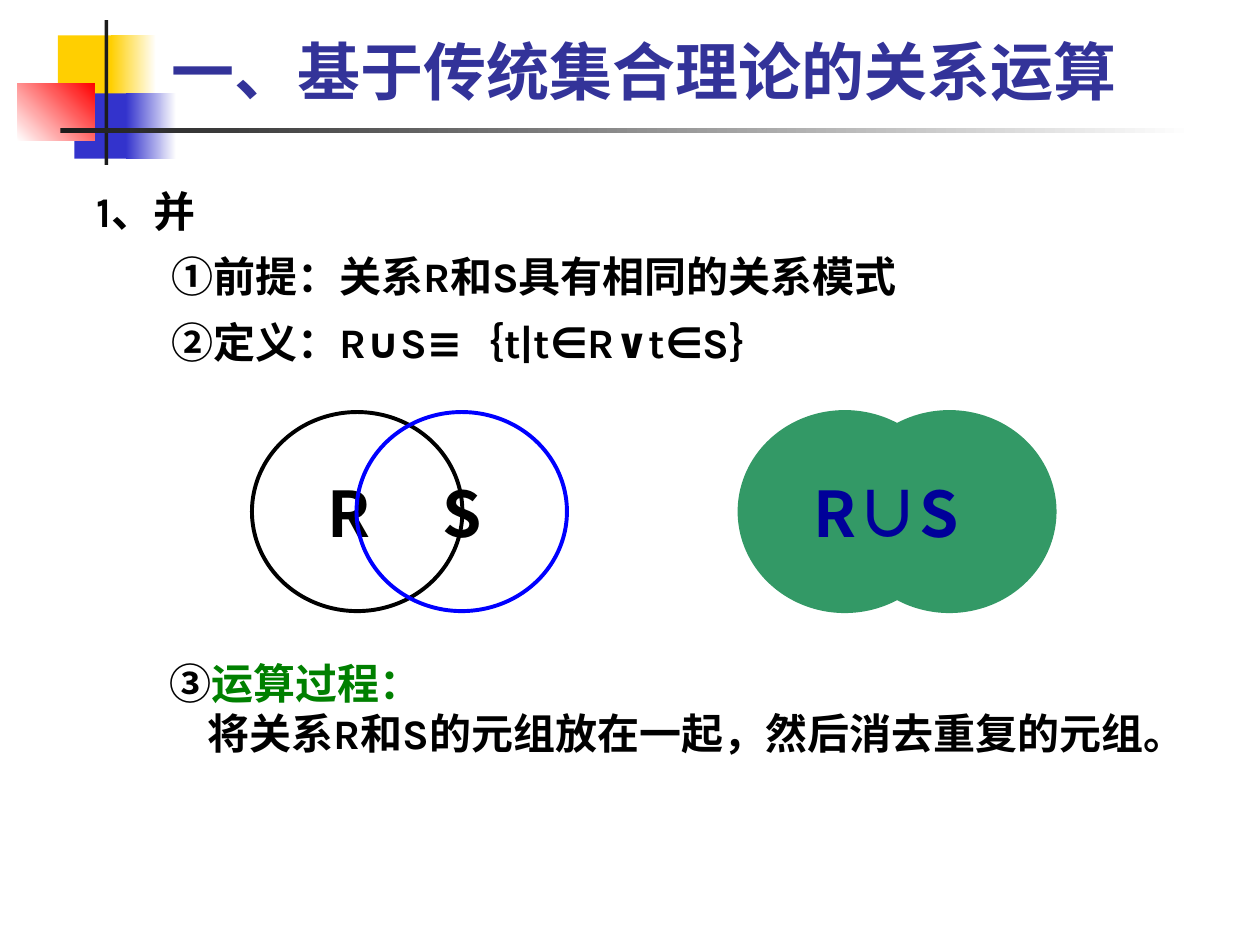
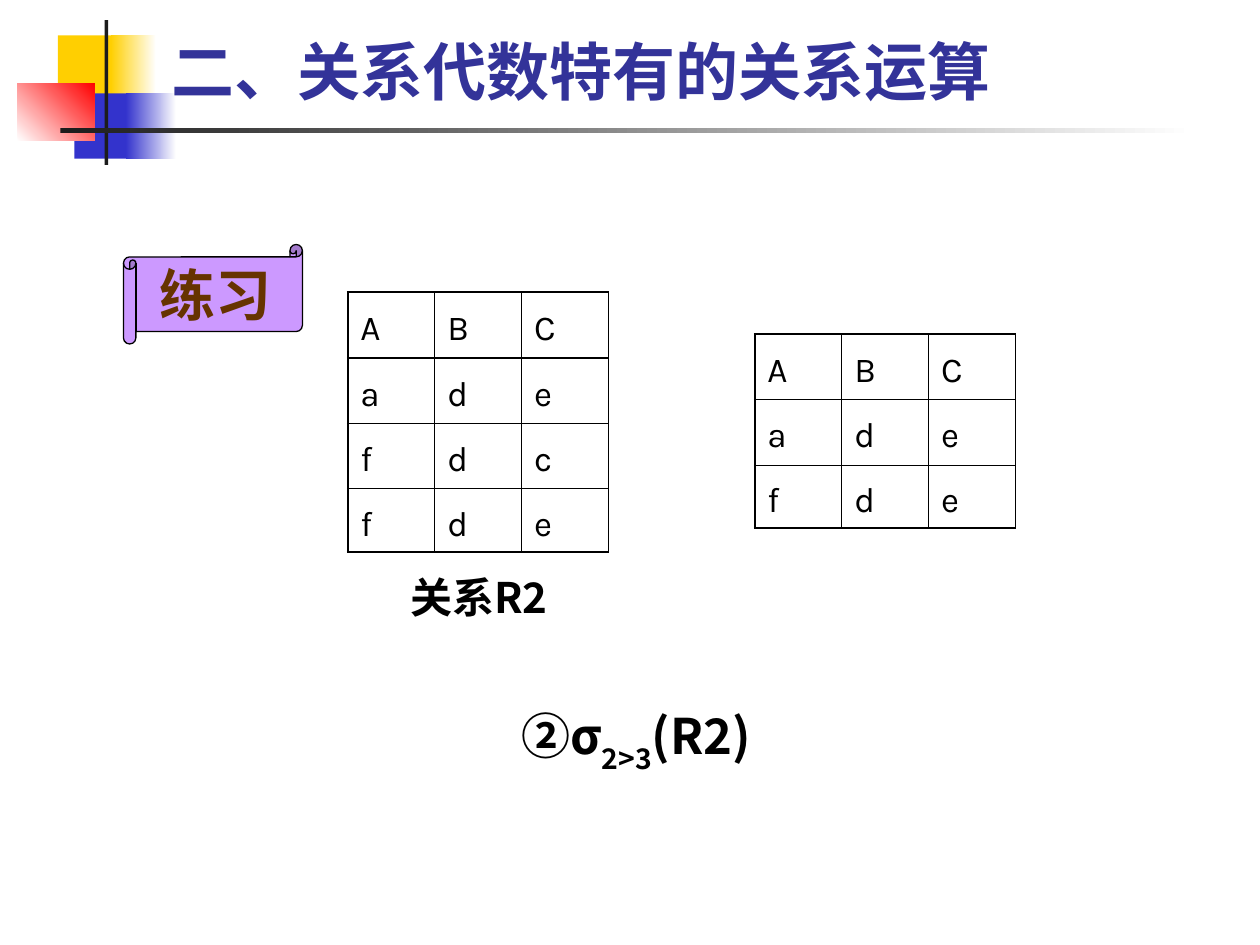
from lxml import etree
from pptx import Presentation
from pptx.dml.color import RGBColor
from pptx.enum.shapes import MSO_SHAPE
from pptx.enum.text import MSO_ANCHOR, PP_ALIGN
from pptx.oxml.ns import qn
from pptx.util import Inches, Pt

RECTANGLE, ELLIPSE = MSO_SHAPE.RECTANGLE, MSO_SHAPE.OVAL
SCROLL = MSO_SHAPE.HORIZONTAL_SCROLL
TOP, MIDDLE, BOTTOM = MSO_ANCHOR.TOP, MSO_ANCHOR.MIDDLE, MSO_ANCHOR.BOTTOM
LEFT, CENTER = PP_ALIGN.LEFT, PP_ALIGN.CENTER

LATIN, CHINESE, SCROLL_FONT = "Karla", "Noto Sans CJK SC", "Arial"
BLACK, WHITE, INK = "000000", "FFFFFF", "1C1C1C"
YELLOW, BLUE, RED = "FFCF01", "3333CC", "FF0000"
TITLE_COLOR, UNION_GREEN, UNION_TEXT = "333399", "339966", "000099"
PROCESS_GREEN, CIRCLE_BLUE = "008000", "0000FF"
LILAC, BROWN = "CC99FF", "663300"

# Box (left, top, width, height), then one fill colour or (start, end, angle)
TITLE_DECORATION = [
    ((0.46, 0.28, 0.48, 0.52), YELLOW),
    ((0.88, 0.28, 0.36, 0.52), (YELLOW, WHITE, 0)),
    ((0.59, 0.74, 0.46, 0.52), BLUE),
    ((1.0, 0.74, 0.4, 0.52), (BLUE, WHITE, 0)),
    ((0.14, 0.66, 0.61, 0.46), (WHITE, RED, 45)),
    ((0.83, 0.16, 0.03, 1.15), INK),
    ((0.48, 1.02, 9, 0.04), (INK, WHITE, 0)),
]
TITLE_BOX = (1.26, 0.23, 8.52, 0.68)

UNION_TITLE = "一、基于传统集合理论的关系运算"
UNION_HEADING = "1、并"
UNION_POINTS = ["①前提：关系R和S具有相同的关系模式",
                "②定义：R∪S≡｛t|t∈R∨t∈S｝"]
PROCESS_HEADING = [("③", {}), ("运算过程：", {"color": PROCESS_GREEN})]
PROCESS_TEXT = "将关系R和S的元组放在一起，然后消去重复的元组。"

CIRCLE_TOP, CIRCLE_WIDTH, CIRCLE_HEIGHT, CIRCLE_SHIFT = 3.27, 1.67, 1.58, 0.83
# Left edge of the pair, then (fill, line) of each circle
CIRCLE_PAIRS = [
    (2.0, [(None, BLACK), (None, CIRCLE_BLUE)]),
    (5.87, [(UNION_GREEN, UNION_GREEN)] * 2),
]
SET_LABELS = [("R", 2.77), ("S", 3.67)]
SET_LABEL_WIDTH = 0.8

EXERCISE_TITLE = "二、关系代数特有的关系运算"
RELATION_TABLES = [
    ((5.99, 2.65), ["ABC", "ade", "fde"]),
    ((2.76, 2.32), ["ABC", "ade", "fdc", "fde"]),
]
COLUMN_WIDTH, ROW_HEIGHT, LAST_ROW_HEIGHT = 0.69, 0.52, 0.5
THICK, THIN = 1.08, 0.45
SELECTION = [("②σ", {}), ("2>3", {"baseline": "-30000"}), ("(R2)", {})]


def rgb(color):
    return RGBColor.from_string(color)


def inches(box):
    return [Inches(length) for length in box]


def paint(shape, fill=None, line=None, line_width=1):
    """Fill with nothing, a colour or a (start, end, angle) gradient."""
    shape.shadow.inherit = False
    if fill is None:
        shape.fill.background()
    elif isinstance(fill, str):
        shape.fill.solid()
        shape.fill.fore_color.rgb = rgb(fill)
    else:
        shape.fill.gradient()
        shape.fill.gradient_angle = fill[2]
        for stop, color, position in zip(shape.fill.gradient_stops, fill, (0, 1)):
            stop.color.rgb = rgb(color)
            stop.position = position
    if line is None:
        shape.line.fill.background()
    else:
        shape.line.color.rgb = rgb(line)
        shape.line.width = Pt(line_width)


def add_shape(slide, kind, box, **style):
    shape = slide.shapes.add_shape(kind, *inches(box))
    paint(shape, **style)
    return shape


def write(paragraph, content, size, font=LATIN, color=BLACK, bold=True,
          align=LEFT, margin=0, indent=0, spacing=None, before=None):
    """Write a string, or a list of (text, run format) parts."""
    properties = paragraph._p.get_or_add_pPr()
    properties.set("marL", str(Inches(margin)))
    properties.set("indent", str(Inches(indent)))
    paragraph.alignment = align
    if spacing:
        paragraph.line_spacing = spacing
    if before:
        paragraph.space_before = Pt(before)
    paragraph.font.name = font
    paragraph.font.size = Pt(size)
    paragraph.font.bold = bold
    paragraph.font.color.rgb = rgb(color)
    default_format = properties.find(qn("a:defRPr"))
    east_asian = etree.Element(qn("a:ea"), typeface=CHINESE)
    default_format.find(qn("a:latin")).addnext(east_asian)
    for text, style in [(content, {})] if isinstance(content, str) else content:
        run = paragraph.add_run()
        run.text = text
        if "color" in style:
            run.font.color.rgb = rgb(style["color"])
        if "baseline" in style:
            run._r.get_or_add_rPr().set("baseline", style["baseline"])


def add_text(slide, box, paragraphs, anchor=TOP, wrap=True):
    """Add a text box from (content, format) pairs, one for each paragraph."""
    frame = slide.shapes.add_textbox(*inches(box)).text_frame
    frame.word_wrap = wrap
    frame.vertical_anchor = anchor
    for index, (content, style) in enumerate(paragraphs):
        paragraph = frame.add_paragraph() if index else frame.paragraphs[0]
        write(paragraph, content, **style)


def add_titled_slide(presentation, title):
    slide = presentation.slides.add_slide(presentation.slide_layouts[6])
    for box, fill in TITLE_DECORATION:
        add_shape(slide, RECTANGLE, box, fill=fill)
    add_text(slide, TITLE_BOX, [(title, {"size": 36, "color": TITLE_COLOR})], BOTTOM)
    return slide


def set_borders(cell, widths):
    """Draw the left, right, top and bottom borders in points."""
    properties = cell._tc.get_or_add_tcPr()
    for side, width in zip("LRTB", widths):
        line = etree.SubElement(properties, qn("a:ln" + side), w=str(Pt(width)))
        fill = etree.SubElement(line, qn("a:solidFill"))
        etree.SubElement(fill, qn("a:srgbClr"), val=BLACK)


def add_relation_table(slide, position, rows):
    row_count, column_count = len(rows), len(rows[0])
    heights = [ROW_HEIGHT] * (row_count - 1) + [LAST_ROW_HEIGHT]
    box = (*position, COLUMN_WIDTH * column_count, sum(heights))
    table = slide.shapes.add_table(row_count, column_count, *inches(box)).table
    table.first_row = table.horz_banding = False
    for column in table.columns:
        column.width = Inches(COLUMN_WIDTH)
    for row, height in zip(table.rows, heights):
        row.height = Inches(height)
    for i, values in enumerate(rows):
        for j, value in enumerate(values):
            cell = table.cell(i, j)
            thick_sides = (j == 0, j == column_count - 1,
                           i <= 1, i in (0, row_count - 1))
            set_borders(cell, [THICK if thick else THIN for thick in thick_sides])
            cell.fill.background()
            cell.vertical_anchor = MIDDLE
            write(cell.text_frame.paragraphs[0], value, 20, bold=False, spacing=1.2)


def build_union_slide(presentation):
    slide = add_titled_slide(presentation, UNION_TITLE)
    body = {"size": 24, "spacing": 1.1}
    point = {**body, "before": 6, "margin": 0.9, "indent": -0.31}
    add_text(slide, (0.67, 1.38, 8.74, 1.8),
             [(UNION_HEADING, body)] + [(text, point) for text in UNION_POINTS])

    label = {"size": 36, "font": CHINESE, "align": CENTER}
    for name, center in SET_LABELS:
        box = (center - SET_LABEL_WIDTH / 2, 3.72, SET_LABEL_WIDTH, 0.7)
        add_text(slide, box, [(name, label)])
    for left, circles in CIRCLE_PAIRS:
        for index, (fill, line) in enumerate(circles):
            box = (left + index * CIRCLE_SHIFT, CIRCLE_TOP, CIRCLE_WIDTH, CIRCLE_HEIGHT)
            add_shape(slide, ELLIPSE, box, fill=fill, line=line, line_width=2.25)
    add_text(slide, (6.21, 3.72, 1.65, 0.7), [("R∪S", {**label, "color": UNION_TEXT})])

    process = {"size": 24, "margin": 0.5}
    add_text(slide, (0.75, 5.17, 8.43, 1.3),
             [(PROCESS_HEADING, process), (PROCESS_TEXT, {**process, "indent": 0.3})])


def build_exercise_slide(presentation):
    slide = add_titled_slide(presentation, EXERCISE_TITLE)
    for position, rows in RELATION_TABLES:
        add_relation_table(slide, position, rows)
    add_text(slide, (3.15, 4.49, 1.3, 0.9),
             [("关系R2", {"size": 24, "font": CHINESE, "align": CENTER})])
    add_text(slide, (4.04, 5.55, 2.24, 0.65),
             [(SELECTION, {"size": 28, "font": CHINESE})], wrap=False)

    scroll = add_shape(slide, SCROLL, (0.98, 1.94, 1.42, 0.79),
                       fill=LILAC, line=BLACK, line_width=0.75)
    frame = scroll.text_frame
    frame.margin_left = frame.margin_right = 0
    frame.word_wrap = False
    frame.vertical_anchor = MIDDLE
    write(frame.paragraphs[0], "练习", 32, SCROLL_FONT, BROWN, align=CENTER)


def main():
    presentation = Presentation()
    presentation.slide_width = Inches(10)
    presentation.slide_height = Inches(7.5)
    build_union_slide(presentation)
    build_exercise_slide(presentation)
    presentation.save("out.pptx")


if __name__ == "__main__":
    main()
